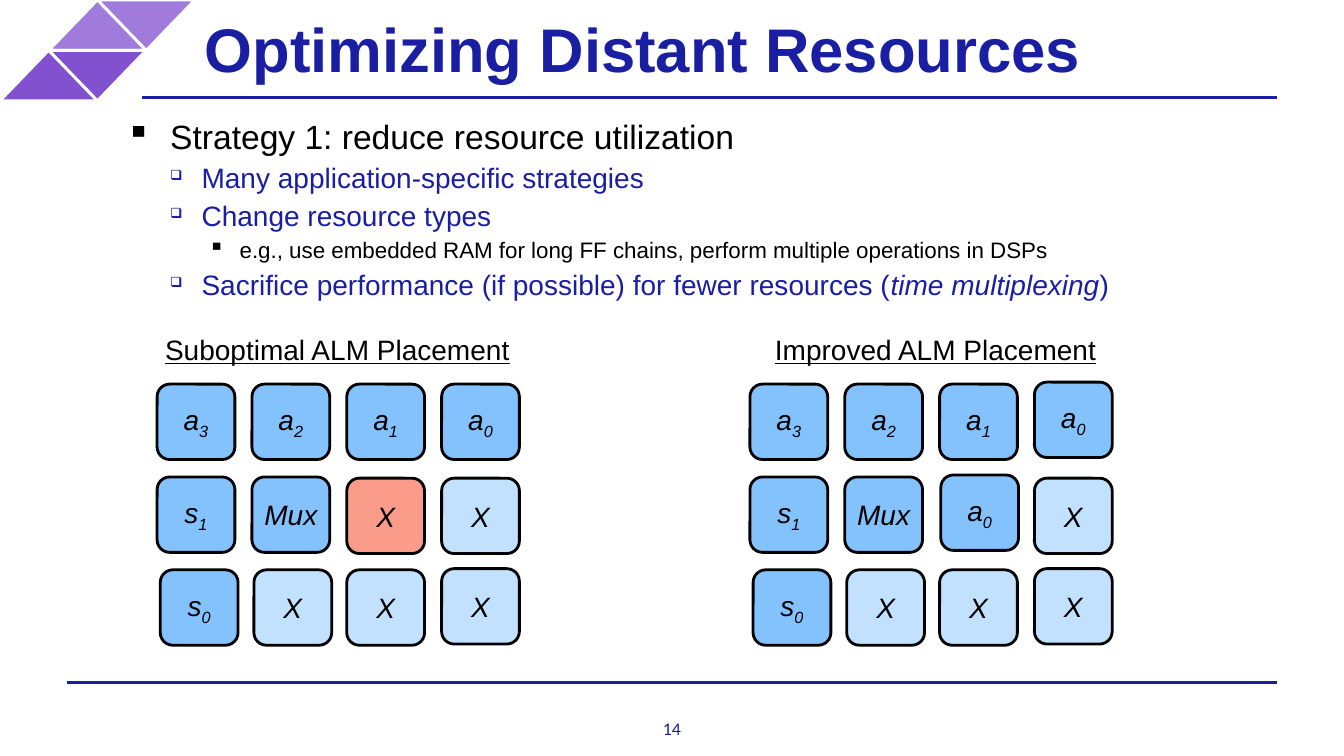
from dataclasses import dataclass
from lxml import etree
from pptx import Presentation
from pptx.dml.color import RGBColor
from pptx.enum import shapes, text
from pptx.oxml.ns import qn
from pptx.util import Cm, Pt


@dataclass(frozen=True)
class Theme:
    font: str = "Arial"
    number_font: str = "Calibri"
    navy: str = "191EA2"
    black: str = "000000"
    white: str = "FFFFFF"
    lilac: str = "A07BDB"
    violet: str = "8151CF"
    used: str = "83C2FD"
    free: str = "C1E1FE"
    blocked: str = "FB9B89"
    title_size: float = 44
    label_size: float = 20
    number_size: float = 12.7
    stroke: float = 2


THEME = Theme()
TITLE = "Optimizing Distant Resources"
PAGE_NUMBER = "14"
BULLETS = [
    (0, [("Strategy 1: reduce resource utilization", False)]),
    (1, [("Many application-specific strategies", False)]),
    (1, [("Change resource types", False)]),
    (2, [("e.g., use embedded RAM for long FF chains, "
          "perform multiple operations in DSPs", False)]),
    (1, [("Sacrifice performance (if possible) for fewer resources (", False),
         ("time multiplexing", True), (")", False)]),
]
LEVELS = [
    dict(indent=1.27, hang=1.11, before=6, mark="▪", scale=100, size=24, color=THEME.black),
    dict(indent=2.06, hang=0.79, before=3, mark="❑", scale=50, size=20, color=THEME.navy),
    dict(indent=3.02, hang=0.79, before=3, mark="▪", scale=100, size=16, color=THEME.black),
]
RULES = [(3.58, 2.46), (1.68, 17.2)]
RULE_END = 32.18
TRIANGLES = [
    (2.46, 0, 180, THEME.lilac),
    (1.23, 0, 0, THEME.lilac),
    (1.23, 1.27, 180, THEME.violet),
    (0, 1.27, 0, THEME.violet),
]
TOP_ROW = ["a3", "a2", "a1", "a0"]
BOTTOM_ROW = ["s0", "X", "X", "X"]
SHARED_NUDGES = {(1, 3): (0, 0.03), (2, 0): (0.08, 0), (2, 1): (0.05, 0), (2, 3): (0, -0.03)}
PLACEMENTS = [
    dict(heading="Suboptimal ALM Placement", heading_left=4.01, left=3.96,
         rows=[TOP_ROW, ["s1", "Mux", "X", "X"], BOTTOM_ROW],
         blocked=[(1, 2)], nudges={(1, 2): (0, 0.03)}),
    dict(heading="Improved ALM Placement", heading_left=19.38, left=18.9,
         rows=[TOP_ROW, ["s1", "Mux", "a0", "X"], BOTTOM_ROW],
         blocked=[], nudges={(0, 3): (0, -0.05), (1, 2): (0.03, -0.05)}),
]
GRID_TOP, PITCH_X, PITCH_Y = 9.68, 2.39, 2.34
CELL_WIDTH, CELL_HEIGHT = 1.96, 1.9


def style_font(font, size, color, name=THEME.font):
    font.name, font.size = name, Pt(size)
    font.color.rgb = RGBColor.from_string(color)


def style_frame(frame, inset, anchor=text.MSO_ANCHOR.MIDDLE, wrap=True):
    frame.margin_left = frame.margin_right = Cm(inset)
    frame.margin_top = frame.margin_bottom = Cm(inset)
    frame.vertical_anchor, frame.word_wrap = anchor, wrap
    frame.auto_size = text.MSO_AUTO_SIZE.NONE


def paint(shape, fill, line):
    shape.shadow.inherit = False
    shape.fill.solid()
    shape.fill.fore_color.rgb = RGBColor.from_string(fill)
    shape.line.color.rgb = RGBColor.from_string(line)
    shape.line.width = Pt(THEME.stroke)


def add_label(page, content, area, inset, size, color, name=THEME.font,
              align=text.PP_ALIGN.LEFT, underline=None, wrap=True):
    box = page.shapes.add_textbox(*map(Cm, area))
    style_frame(box.text_frame, inset, wrap=wrap)
    para = box.text_frame.paragraphs[0]
    para.text, para.alignment = content, align
    style_font(para.font, size, color, name)
    para.font.underline = underline


def add_rule(page, left, top):
    rule = page.shapes.add_connector(
        shapes.MSO_CONNECTOR.STRAIGHT, Cm(left), Cm(top), Cm(RULE_END), Cm(top))
    rule.line.color.rgb = RGBColor.from_string(THEME.navy)
    rule.line.width = Pt(THEME.stroke)
    etree.SubElement(rule._element.spPr, qn("a:effectLst"))


def add_ornament(page):
    group = page.shapes.add_group_shape()
    for left, top, turn, color in TRIANGLES:
        triangle = group.shapes.add_shape(
            shapes.MSO_SHAPE.ISOSCELES_TRIANGLE, Cm(left), Cm(top), Cm(2.45), Cm(1.27))
        triangle.rotation = turn
        paint(triangle, color, THEME.white)


def add_title(page):
    title = page.shapes.title
    title.left, title.top, title.width, title.height = map(Cm, (4.8, 0, 25.6, 2.41))
    style_frame(title.text_frame, 0.36)
    para = title.text_frame.paragraphs[0]
    para.text, para.alignment = TITLE, text.PP_ALIGN.LEFT
    style_font(para.font, THEME.title_size, THEME.navy)
    para.font.bold = True


def add_bullets(page):
    box = page.shapes.add_textbox(*map(Cm, (3.02, 2.92, 28.85, 4.9)))
    frame = box.text_frame
    style_frame(frame, 0, text.MSO_ANCHOR.TOP)
    for index, (depth, spans) in enumerate(BULLETS):
        level = LEVELS[depth]
        para = frame.add_paragraph() if index else frame.paragraphs[0]
        para.level, para.space_before = depth, Pt(level["before"])
        props = para._p.get_or_add_pPr()
        props.set("marL", str(Cm(level["indent"])))
        props.set("indent", str(-Cm(level["hang"])))
        etree.SubElement(props, qn("a:buSzPct"), val=str(level["scale"] * 1000))
        etree.SubElement(props, qn("a:buChar"), char=level["mark"])
        style_font(para.font, level["size"], level["color"])
        for content, italic in spans:
            span = para.add_run()
            span.text = content
            if italic:
                span.font.italic = True


def add_cell(page, label, left, top, fill):
    cell = page.shapes.add_shape(
        shapes.MSO_SHAPE.ROUNDED_RECTANGLE,
        Cm(left), Cm(top), Cm(CELL_WIDTH), Cm(CELL_HEIGHT))
    paint(cell, fill, THEME.black)
    style_frame(cell.text_frame, 0.15)
    para = cell.text_frame.paragraphs[0]
    para.alignment = text.PP_ALIGN.CENTER
    style_font(para.font, THEME.label_size, THEME.black)
    para.font.italic = True
    stem = label.rstrip("0123456789")
    para.add_run().text = stem
    if stem != label:
        subscript = para.add_run()
        subscript.text = label[len(stem):]
        subscript._r.get_or_add_rPr().set("baseline", "-25000")


def add_placement(page, placement):
    add_label(page, placement["heading"], (placement["heading_left"], 8.23, 9.63, 1.14),
              0.15, THEME.label_size, THEME.black, underline=True)
    nudges = {**SHARED_NUDGES, **placement["nudges"]}
    for row, labels in enumerate(placement["rows"]):
        for column, label in enumerate(labels):
            spot = (row, column)
            shift_x, shift_y = nudges.get(spot, (0, 0))
            fill = THEME.free if label == "X" else THEME.used
            if spot in placement["blocked"]:
                fill = THEME.blocked
            add_cell(page, label, placement["left"] + column * PITCH_X + shift_x,
                     GRID_TOP + row * PITCH_Y + shift_y, fill)


def main():
    deck = Presentation()
    deck.slide_width, deck.slide_height = Cm(33.87), Cm(19.05)
    page = deck.slides.add_slide(deck.slide_layouts[5])
    add_ornament(page)
    for left, top in RULES:
        add_rule(page, left, top)
    add_title(page)
    add_label(page, PAGE_NUMBER, (16.81, 18.08, 0.25, 0.53), 0, THEME.number_size,
              THEME.navy, THEME.number_font, text.PP_ALIGN.CENTER, wrap=False)
    add_bullets(page)
    for placement in PLACEMENTS:
        add_placement(page, placement)
    deck.save("out.pptx")


if __name__ == "__main__":
    main()
